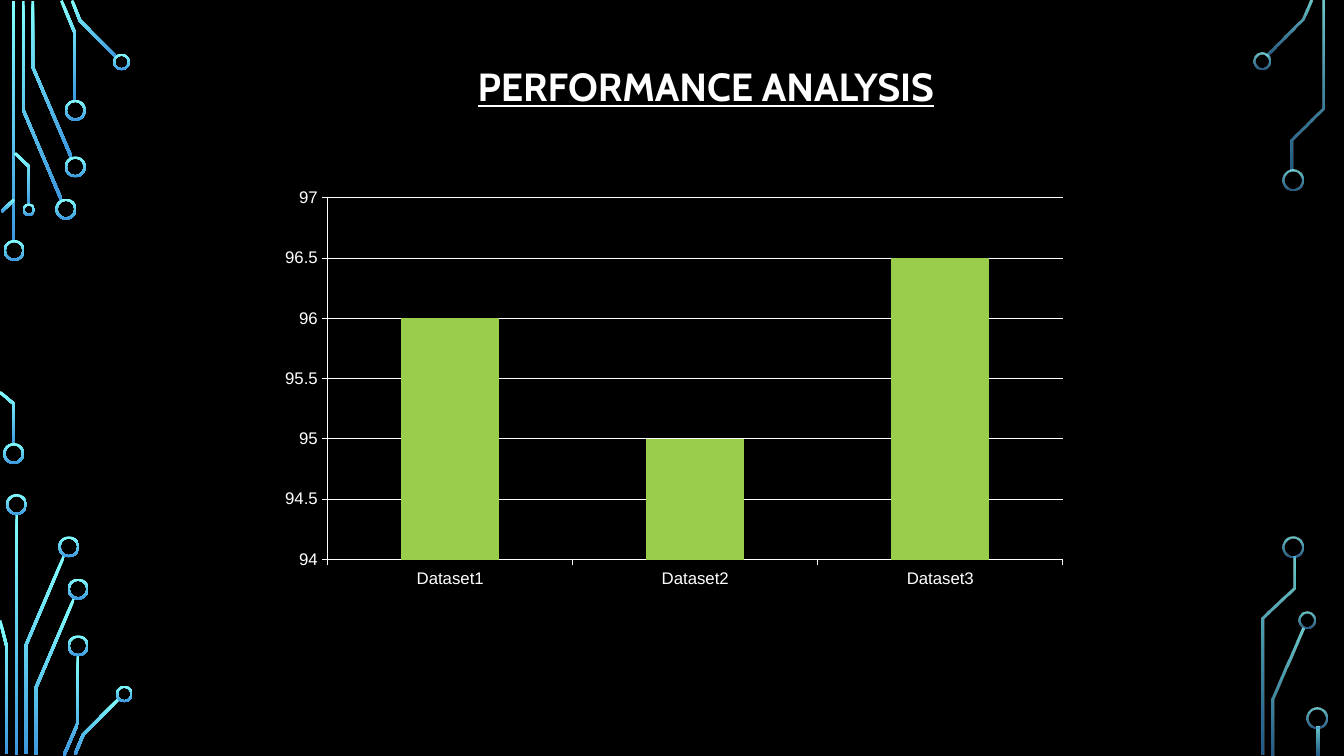
import math

from lxml import etree
from pptx import Presentation
from pptx.chart.data import CategoryChartData
from pptx.dml.color import RGBColor
from pptx.enum.chart import XL_CHART_TYPE, XL_TICK_MARK
from pptx.enum.shapes import MSO_SHAPE
from pptx.oxml.ns import qn
from pptx.util import Pt

COLUMNS = XL_CHART_TYPE.COLUMN_CLUSTERED
OUTSIDE = XL_TICK_MARK.OUTSIDE
DONUT = MSO_SHAPE.DONUT

COLORS = {"ground": "000000", "text": "FFFFFF", "bar": "9ACD4C",
          "trace_top": "82FFFF", "trace_bottom": "3D97DE"}
TITLE = "PERFORMANCE ANALYSIS"
SERIES = "Series 1"
SCORES = {"Dataset1": 96, "Dataset2": 95, "Dataset3": 96.5}
PLOT = {"x": 0.101, "y": 0.027, "w": 0.897, "h": 0.865}

TRACE_WIDTH = 2
RING_WIDTH = 1.5
LARGE, MEDIUM, SMALL = 15, 12, 9

LEFT_CIRCUIT = {
    "opacity": (100, 100),
    "traces": [
        [(9.7, 0.7), (9.7, 172.8)],
        [(16.6, 0.7), (16.6, 78.5), (43.9, 142.9)],
        [(23.4, 0.7), (23.4, 47.9), (51.1, 112.7)],
        [(43.9, 0.4), (53.6, 23.8), (53.6, 72)],
        [(51.5, 0.4), (57.2, 14.8), (83.2, 41)],
        [(1.1, 151.2), (10.1, 142.6)],
        [(0, 280.1), (10.1, 288.7), (10.1, 317.5)],
        [(10.8, 109.4), (20.9, 119.2), (20.9, 146.2)],
        [(11.9, 367.2), (11.9, 539.3)],
        [(18.4, 538.6), (18.4, 461.2), (45.7, 397.1)],
        [(0, 443.2), (4.7, 461.5), (4.7, 538.6)],
        [(25.6, 539.3), (25.6, 491.4), (52.9, 427.3)],
        [(45.7, 539.6), (55.8, 516.2), (55.8, 468)],
        [(53.6, 538.9), (59.4, 524.9), (85, 499)],
    ],
    "rings": [
        (10.1, 178.9, LARGE), (9.8, 324, LARGE), (47.1, 149.4, LARGE),
        (53.8, 119.2, LARGE), (53.8, 78.8, LARGE), (86.8, 44.3, MEDIUM),
        (20.6, 149.8, SMALL), (11.8, 360.4, LARGE), (49.2, 390.6, LARGE),
        (55.8, 420.8, LARGE), (55.8, 461.3, LARGE), (88.8, 495.7, MEDIUM),
    ],
}
RIGHT_CIRCUIT = {
    "opacity": (80, 60),
    "traces": [
        [(905, 40), (930.6, 14), (936.4, 0.4)],
        [(909, 539.3), (909, 499.3), (931, 448.9)],
        [(923, 121.7), (923, 99.7), (945, 77.4), (945, 0.7)],
        [(901.8, 539.3), (901.8, 441.7), (924.1, 420.1), (924.1, 397.4)],
        [(941.4, 519.1), (941.4, 539.3)],
    ],
    "rings": [
        (901.2, 43.5, MEDIUM), (923.6, 128.7, LARGE), (933.4, 443.2, MEDIUM),
        (923.9, 390.6, LARGE), (940.7, 512.6, LARGE),
    ],
}


def rgb(name):
    return RGBColor.from_string(COLORS[name])


def paint_circuit(shape, opacity):
    shape.shadow.inherit = False
    shape.line.fill.background()
    shape.fill.gradient()
    shape.fill.gradient_angle = 270
    for stop, name in zip(shape.fill.gradient_stops, ("trace_top", "trace_bottom")):
        stop.color.rgb = rgb(name)
    for color, percent in zip(shape._element.iter(qn("a:srgbClr")), opacity):
        if percent < 100:
            etree.SubElement(color, qn("a:alpha")).set("val", str(percent * 1000))


def outline(points):
    normals = []
    for (x1, y1), (x2, y2) in zip(points, points[1:]):
        length = math.hypot(x2 - x1, y2 - y1)
        normals.append(((y1 - y2) / length, (x2 - x1) / length))
    near, far = [], []
    joints = zip(points, normals[:1] + normals, normals + normals[-1:])
    for (x, y), (ax, ay), (bx, by) in joints:
        reach = TRACE_WIDTH / 2 / (1 + ax * bx + ay * by)
        dx, dy = (ax + bx) * reach, (ay + by) * reach
        near.append((Pt(x + dx), Pt(y + dy)))
        far.append((Pt(x - dx), Pt(y - dy)))
    return near + far[::-1]


def add_circuit(page, circuit):
    for points in circuit["traces"]:
        corners = outline(points)
        builder = page.shapes.build_freeform(*corners[0])
        builder.add_line_segments(corners[1:], close=True)
        paint_circuit(builder.convert_to_shape(), circuit["opacity"])
    for x, y, size in circuit["rings"]:
        ring = page.shapes.add_shape(DONUT, Pt(x - size / 2), Pt(y - size / 2),
                                     Pt(size), Pt(size))
        ring.adjustments[0] = RING_WIDTH / size
        paint_circuit(ring, circuit["opacity"])


def add_text(page, text, left, top, width, height, *, size, font, color,
             bold=False, underline=False):
    box = page.shapes.add_textbox(Pt(left), Pt(top), Pt(width), Pt(height))
    box.text_frame.word_wrap = True
    span = box.text_frame.paragraphs[0].add_run()
    span.text = text
    span.font.size = Pt(size)
    span.font.name = font
    span.font.bold = bold
    span.font.underline = underline
    span.font.color.rgb = rgb(color)


def style_line(line):
    line.color.rgb = rgb("text")
    line.width = Pt(0.75)


def add_score_chart(page):
    data = CategoryChartData()
    data.categories = list(SCORES)
    data.add_series(SERIES, list(SCORES.values()))
    chart = page.shapes.add_chart(COLUMNS, Pt(175), Pt(133.2), Pt(585.4),
                                  Pt(298.8), data).chart
    chart.has_title = False
    chart.has_legend = False
    chart.font.size = Pt(12)
    chart.font.name = "Arial"
    chart.font.color.rgb = rgb("text")
    for axis in (chart.category_axis, chart.value_axis):
        axis.major_tick_mark = OUTSIDE
        style_line(axis.format.line)
    scale = chart.value_axis
    scale.minimum_scale, scale.maximum_scale, scale.major_unit = 94, 97, 0.5
    scale.has_major_gridlines = True
    style_line(scale.major_gridlines.format.line)
    plot = chart.plots[0]
    plot.gap_width = 150
    plot.vary_by_categories = False
    bars = plot.series[0].format
    bars.fill.solid()
    bars.fill.fore_color.rgb = rgb("bar")
    area = chart._chartSpace.find(".//" + qn("c:plotArea"))
    for old in area.findall(qn("c:layout")):
        area.remove(old)
    layout = etree.Element(qn("c:layout"))
    area.insert(0, layout)
    manual = etree.SubElement(layout, qn("c:manualLayout"))
    settings = {"layoutTarget": "inner", "xMode": "edge", "yMode": "edge", **PLOT}
    for tag, value in settings.items():
        etree.SubElement(manual, qn("c:" + tag)).set("val", str(value))


def main():
    deck = Presentation()
    deck.slide_width, deck.slide_height = Pt(960), Pt(540)
    page = deck.slides.add_slide(deck.slide_layouts[6])
    page.background.fill.solid()
    page.background.fill.fore_color.rgb = rgb("ground")
    for circuit in (LEFT_CIRCUIT, RIGHT_CIRCUIT):
        add_circuit(page, circuit)
    add_score_chart(page)
    add_text(page, TITLE, 334.1, 41, 480.2, 41, size=28, font="Cabin",
             color="text", bold=True, underline=True)
    deck.save("out.pptx")


if __name__ == "__main__":
    main()
